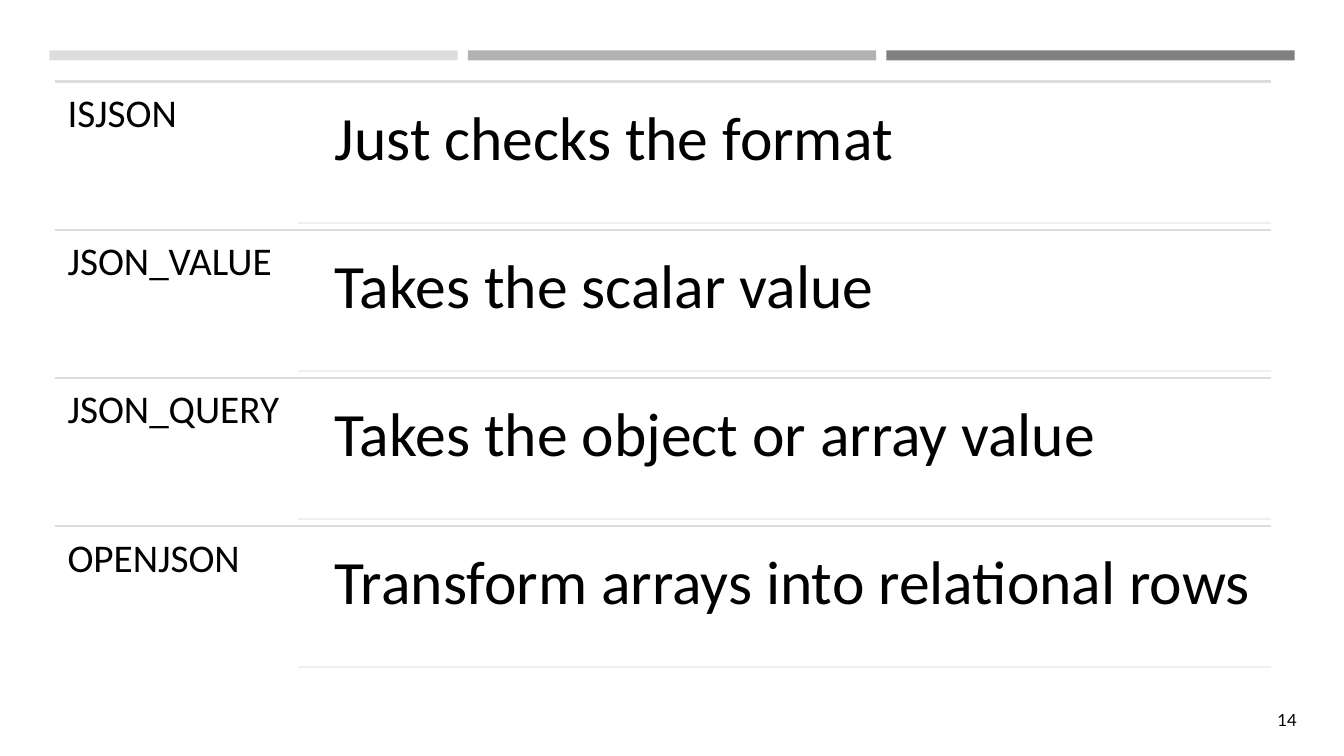
import pptx
import pptx.util
from dataclasses import dataclass
from lxml import etree
from pptx.dml.color import RGBColor
from pptx.enum.shapes import MSO_CONNECTOR, MSO_SHAPE
from pptx.enum.text import MSO_ANCHOR, PP_ALIGN
from pptx.oxml.ns import qn

PX = 9144  # EMU per px, at 100 px to the inch


@dataclass(frozen=True)
class Theme:
    text: str = "000000"
    bars: tuple = ("DDDDDD", "B2B2B2", "808080")
    row_rule: str = "DDDDDD"
    detail_rule: str = "EFEFEF"
    rule_pt: float = 1.75
    body_font: str = "Calibri"
    number_font: str = "Lato"
    name_pt: int = 28
    detail_pt: int = 44
    number_pt: int = 12


class SlideBuilder:
    def __init__(self, slide, theme):
        self.slide = slide
        self.theme = theme

    def bar(self, left, top, width, height, color):
        bar = self.slide.shapes.add_shape(
            MSO_SHAPE.RECTANGLE, left * PX, top * PX, width * PX, height * PX)
        bar.shadow.inherit = False
        bar.fill.solid()
        bar.fill.fore_color.rgb = RGBColor.from_string(color)
        bar.line.fill.background()

    def rule(self, left, right, y, color):
        """Draw a horizontal line without a shadow."""
        rule = self.slide.shapes.add_connector(
            MSO_CONNECTOR.STRAIGHT, left * PX, y * PX, right * PX, y * PX)
        rule.line.color.rgb = RGBColor.from_string(color)
        rule.line.width = pptx.util.Pt(self.theme.rule_pt)
        etree.SubElement(rule._element.spPr, qn("a:effectLst"))

    def text(self, box, words, size, font, inset=(10, 5), line_spacing=1.0,
             align=PP_ALIGN.LEFT, anchor=MSO_ANCHOR.TOP):
        """Write one paragraph; inset is (horizontal, vertical) in px."""
        frame = self.slide.shapes.add_textbox(*(side * PX for side in box)).text_frame
        frame.word_wrap = True
        frame.vertical_anchor = anchor
        frame.margin_left = frame.margin_right = inset[0] * PX
        frame.margin_top = frame.margin_bottom = inset[1] * PX
        paragraph = frame.paragraphs[0]
        paragraph.alignment = align
        paragraph.line_spacing = line_spacing
        run = paragraph.add_run()
        run.text = words
        run.font.size = pptx.util.Pt(size)
        run.font.name = font
        run.font.color.rgb = RGBColor.from_string(self.theme.text)

    def function_row(self, top, name, detail):
        """Place a function name beside its description, with both rules."""
        theme = self.theme
        self.rule(55, 1261, top, theme.row_rule)
        self.text((55, top, 241, 147), name, theme.name_pt, theme.body_font,
                  inset=(12, 12), line_spacing=0.9)
        self.text((314, top + 7, 947, 133), detail, theme.detail_pt, theme.body_font,
                  inset=(18, 18), line_spacing=0.9)
        self.rule(296, 1261, top + 140, theme.detail_rule)


JSON_FUNCTIONS = (
    ("ISJSON", "Just checks the format"),
    ("JSON_VALUE", "Takes the scalar value"),
    ("JSON_QUERY", "Takes the object or array value"),
    ("OPENJSON", "Transform arrays into relational rows"),
)


def main():
    deck = pptx.Presentation()
    deck.slide_width = 1333 * PX
    deck.slide_height = 750 * PX
    theme = Theme()
    builder = SlideBuilder(deck.slides.add_slide(deck.slide_layouts[6]), theme)

    for column, color in enumerate(theme.bars):
        builder.bar(49 + column * 415, 50, 405, 10, color)
    builder.text((1235, 694, 61, 40), "14", theme.number_pt, theme.number_font,
                 align=PP_ALIGN.RIGHT, anchor=MSO_ANCHOR.MIDDLE)
    for row, (name, detail) in enumerate(JSON_FUNCTIONS):
        builder.function_row(81 + row * 147, name, detail)

    deck.save("out.pptx")


if __name__ == "__main__":
    main()
